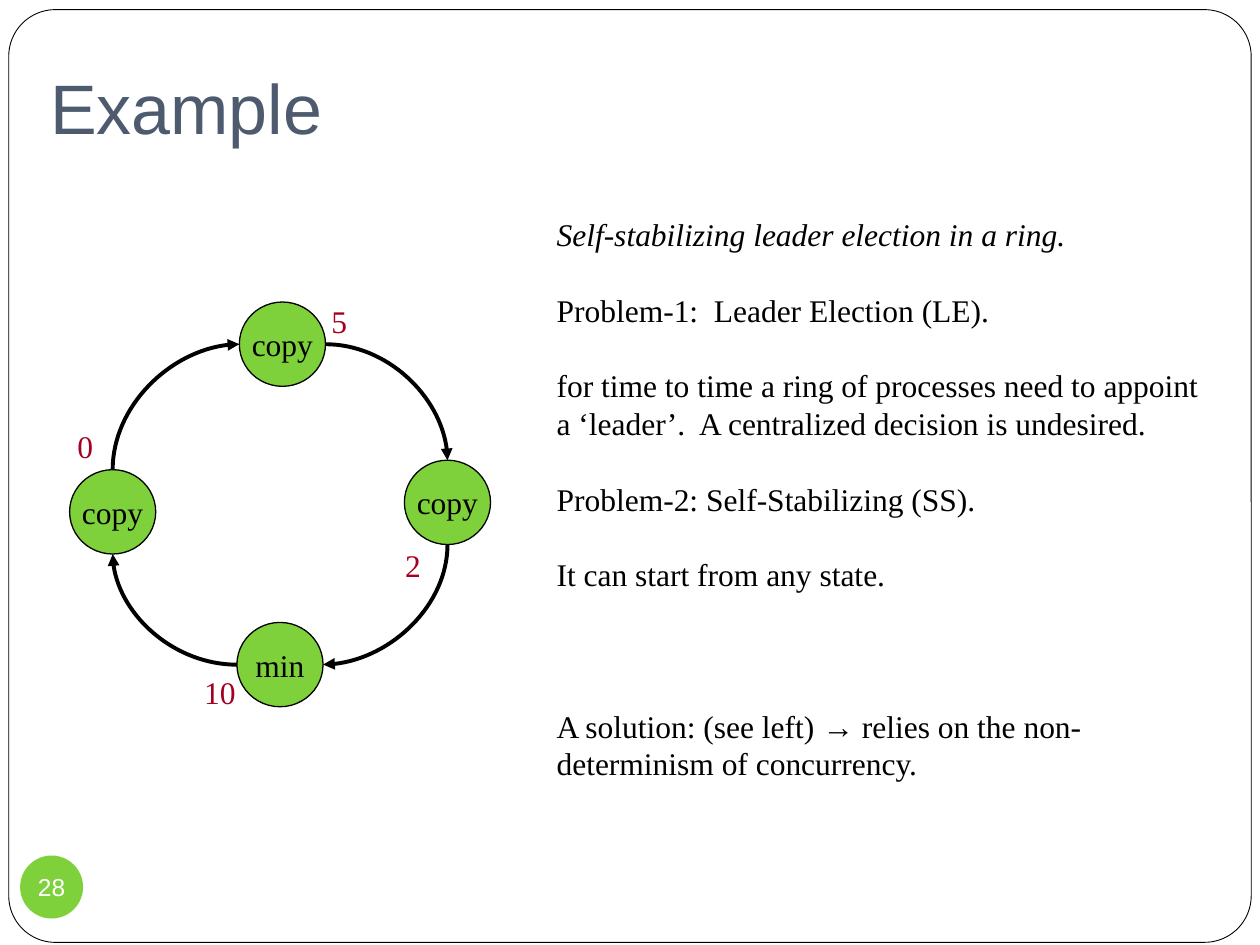
from lxml.etree import SubElement
from pptx import Presentation
from pptx.dml.color import RGBColor
from pptx.enum.shapes import MSO_CONNECTOR, MSO_SHAPE
from pptx.enum.text import MSO_ANCHOR, PP_ALIGN
from pptx.oxml.ns import qn
from pptx.util import Pt

SERIF, SANS = "Times New Roman", "Arial"
BLACK, WHITE, GREEN, RED, SLATE = "000000", "FFFFFF", "7FD13B", "A50021", "4E5B6F"
TOP, RIGHT, BOTTOM, LEFT = (0.5, 0), (1, 0.5), (0.5, 1), (0, 0.5)


def rgb(color):
    return RGBColor.from_string(color)


def side(shape, fraction):
    return (shape.left.pt + fraction[0] * shape.width.pt,
            shape.top.pt + fraction[1] * shape.height.pt)


class Deck:
    size = 18
    line_height = 21.6

    def __init__(self, width, height):
        self.prs = Presentation()
        self.prs.slide_width, self.prs.slide_height = Pt(width), Pt(height)
        self.s = self.prs.slides.add_slide(self.prs.slide_layouts[6])

    def style(self, p, font, size, color):
        p.font.name, p.font.size = font, Pt(size)
        p.font.color.rgb = rgb(color)

    def shape(self, kind, x, y, w, h, fill, line=0):
        sp = self.s.shapes.add_shape(kind, Pt(x), Pt(y), Pt(w), Pt(h))
        sp.shadow.inherit = False
        sp.fill.solid()
        sp.fill.fore_color.rgb = rgb(fill)
        if line:
            sp.line.color.rgb = rgb(BLACK)
            sp.line.width = Pt(line)
        else:
            sp.line.fill.background()
        return sp

    def circle(self, text, x, y, w, h, line=0.75, font=SERIF, size=size, color=BLACK):
        sp = self.shape(MSO_SHAPE.OVAL, x, y, w, h, GREEN, line)
        tf = sp.text_frame
        tf.word_wrap = False
        tf.vertical_anchor = MSO_ANCHOR.MIDDLE
        tf.margin_left = tf.margin_right = tf.margin_top = tf.margin_bottom = 0
        p = tf.paragraphs[0]
        p.text, p.alignment = text, PP_ALIGN.CENTER
        self.style(p, font, size, color)
        return sp

    def text(self, text, x, y, w, h, font=SERIF, size=size, color=BLACK, wrap=False):
        tf = self.s.shapes.add_textbox(Pt(x), Pt(y), Pt(w), Pt(h)).text_frame
        tf.word_wrap = wrap
        tf.paragraphs[0].text = text
        self.style(tf.paragraphs[0], font, size, color)
        return tf

    def title(self, text, x, y, w, h):
        tf = self.text(text, x, y, w, h, SANS, 40, SLATE, True)
        tf.vertical_anchor = MSO_ANCHOR.BOTTOM
        tf.margin_bottom = Pt(7.2)

    def body(self, paragraphs, x, y, w, h):
        tf = self.s.shapes.add_textbox(Pt(x), Pt(y), Pt(w), Pt(h)).text_frame
        tf.word_wrap = True
        for i, (runs, blank_lines, italic) in enumerate(paragraphs):
            p = tf.add_paragraph() if i else tf.paragraphs[0]
            p.line_spacing = Pt(self.line_height)
            p.space_before = Pt(blank_lines * self.line_height)
            self.style(p, SERIF, self.size, BLACK)
            p.font.italic = italic
            for text in runs:
                r = p.add_run()
                r.text = text
                if text == "→":
                    r.font.name = SANS

    def arc(self, start, end, angle, flip=False):
        (x1, y1), (x2, y2) = start, end
        w, h = abs(x2 - x1), abs(y2 - y1)
        if angle == 90:
            w, h = h, w
        x, y = (x1 + x2 - w) / 2, (y1 + y2 - h) / 2
        corners = [Pt(x), Pt(y), Pt(x + w), Pt(y + h)]
        if flip:
            corners = corners[2:] + corners[:2]
        c = self.s.shapes.add_connector(MSO_CONNECTOR.CURVE, *corners)
        c.line.color.rgb = rgb(BLACK)
        c.line.width = Pt(2.25)
        pr = c._element.spPr
        pr.find(qn("a:xfrm")).set("rot", str(angle * 60000))
        pr.find(qn("a:prstGeom")).set("prst", "curvedConnector2")
        SubElement(pr.find(qn("a:ln")), qn("a:tailEnd"), type="triangle")
        SubElement(pr, qn("a:effectLst"))


def main():
    deck = Deck(720, 540)
    frame = deck.shape(MSO_SHAPE.ROUNDED_RECTANGLE, 5, 5.5, 710, 533, WHITE, 0.5)
    frame.adjustments[0] = 0.05
    deck.title("Example", 21.6, 21.6, 662.4, 70.6)

    north, east, west, south = [
        deck.circle(text, x, y, 49.2, 48.2)
        for text, x, y in (("copy", 136.8, 172.6), ("copy", 231.1, 263),
                           ("copy", 39.8, 268.4), ("min", 135.4, 355.7))
    ]
    deck.arc(side(west, TOP), side(north, LEFT), 90, flip=True)
    deck.arc(side(north, RIGHT), side(east, TOP), 0)
    deck.arc(side(east, BOTTOM), side(south, RIGHT), 90)
    deck.arc(side(south, LEFT), side(west, BOTTOM), 180)

    deck.body([
        (["Self-stabilizing leader election in a ring."], 0, True),
        (["Problem-1:  Leader Election (LE)."], 1, False),
        (["for time to time a ring of processes need to appoint a ‘leader’.  "
          "A centralized decision is undesired."], 1, False),
        (["Problem-2: Self-Stabilizing (SS)."], 1, False),
        (["It can start from any state."], 1, False),
        (["A solution: (see left) ", "→",
          " relies on the non-determinism of concurrency."], 3, False),
    ], 311, 119.5, 392.4, 331.2)

    for value, x, y, w in (("0", 37.2, 240.5, 23), ("5", 182.2, 169.2, 23),
                           ("10", 109.6, 380.9, 32.4), ("2", 224.4, 308.2, 23)):
        deck.text(value, x, y, w, 28.8, color=RED)
    deck.circle("28", 11.5, 488.9, 36, 36, line=0, font=SANS, size=14, color=WHITE)
    deck.prs.save("out.pptx")


if __name__ == "__main__":
    main()
